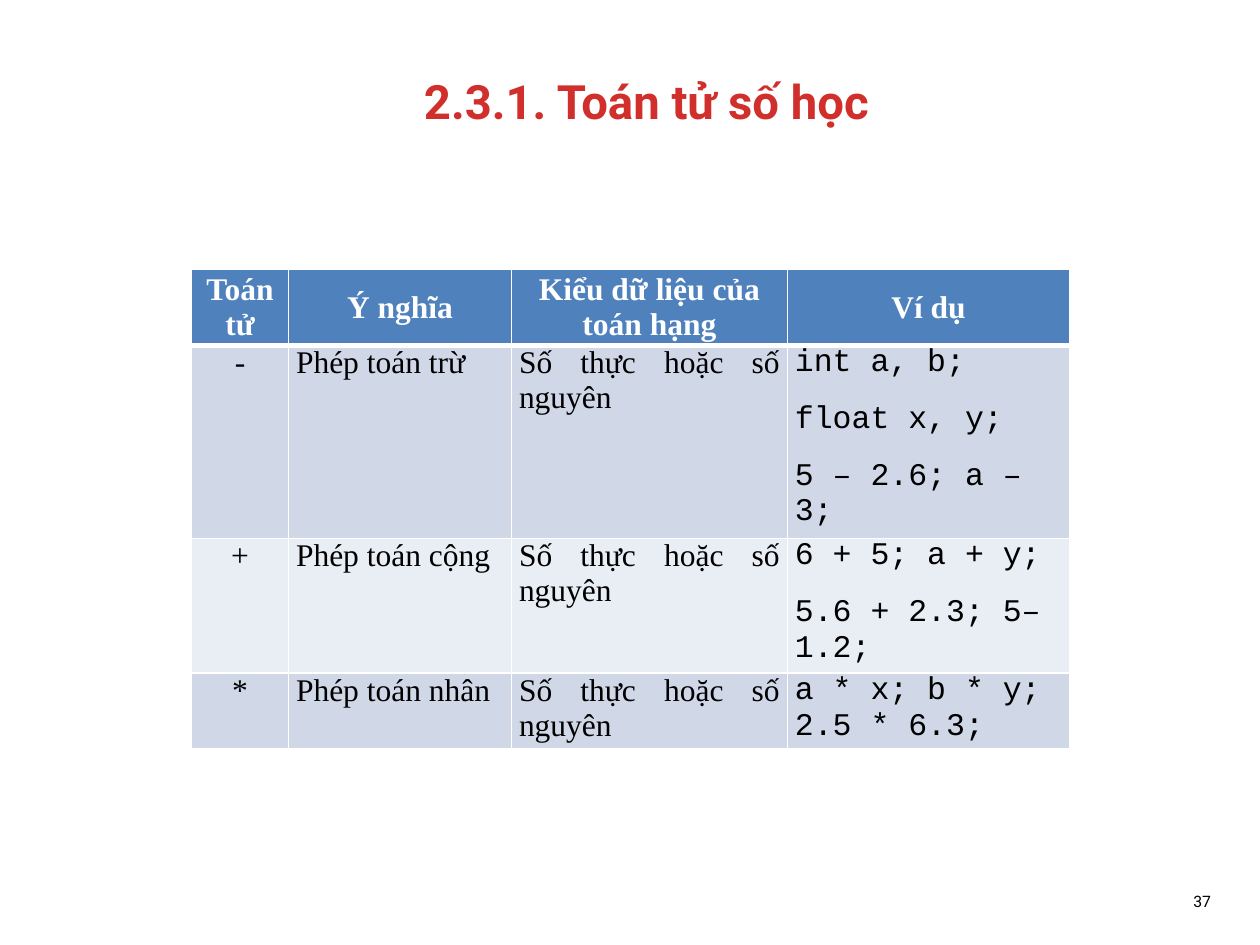
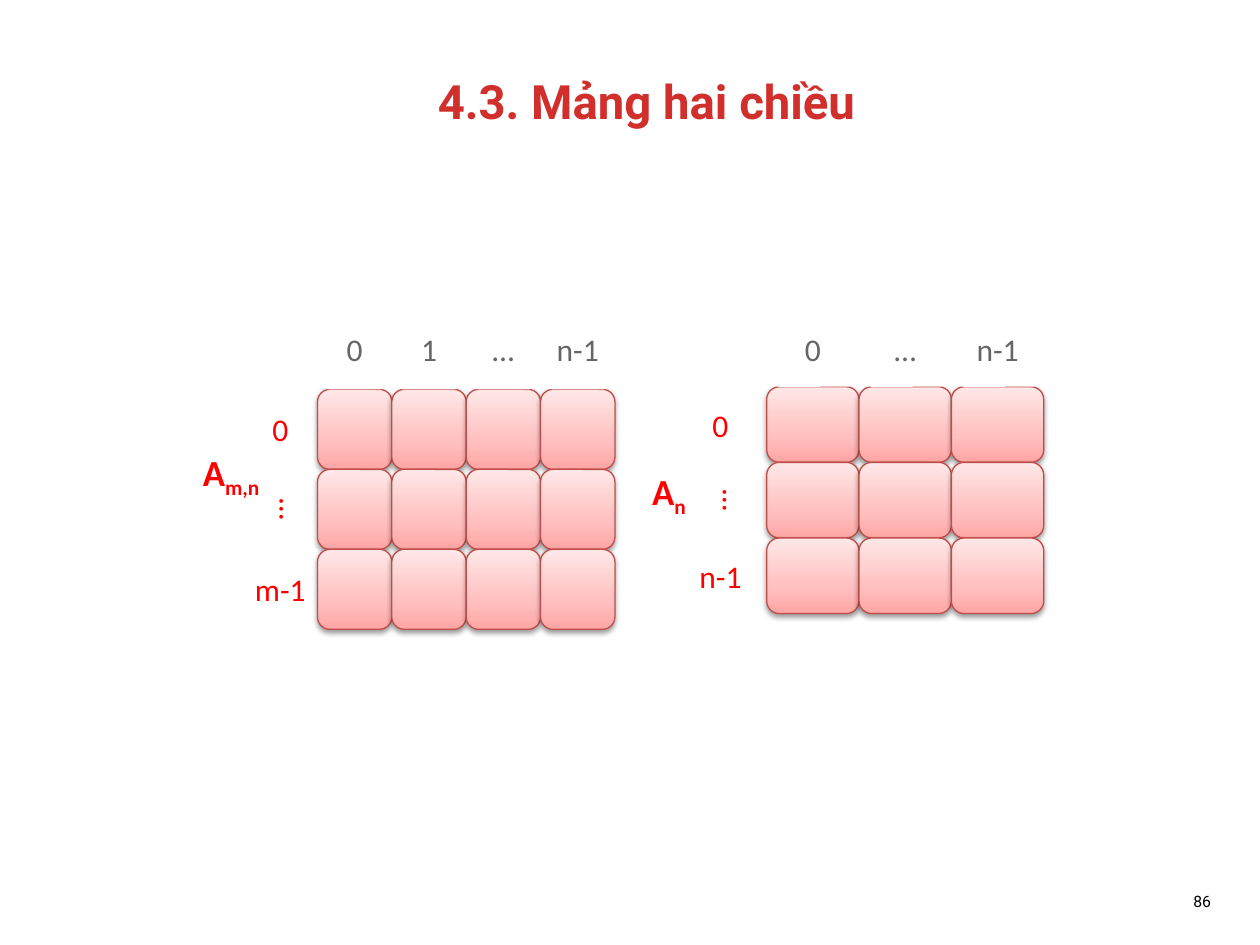
from lxml.etree import SubElement
from pptx import Presentation
from pptx.dml.color import RGBColor
from pptx.enum.shapes import MSO_SHAPE
from pptx.enum.text import MSO_ANCHOR, PP_ALIGN
from pptx.oxml.ns import qn
from pptx.util import Inches, Pt

WHITE = RGBColor(0xFF, 0xFF, 0xFF)
BLACK = RGBColor(0x00, 0x00, 0x00)
RED = RGBColor(0xFF, 0x00, 0x00)
GREY = RGBColor(0x66, 0x66, 0x66)
BRICK = RGBColor(0xBF, 0x4C, 0x48)
BLUE = RGBColor(0x4F, 0x81, 0xBD)
BANDS = (RGBColor(0xD0, 0xD8, 0xE8), RGBColor(0xE9, 0xED, 0xF4))
TITLE_FADE = ((0, RGBColor(0xFC, 0x7C, 0x7A)), (75, RGBColor(0xD0, 0x2F, 0x2C)),
              (100, RGBColor(0xC7, 0x05, 0x00)))
CELL_FADE = ((0, RGBColor(0xFF, 0xA6, 0xA5)), (35, RGBColor(0xFF, 0xC0, 0xBF)),
             (100, RGBColor(0xFF, 0xE7, 0xE7)))

COLS, ROWS = 100, 75
CENTER = {"alignment": PP_ALIGN.CENTER}
TITLE = {"name": "Roboto", "size": Pt(27), "bold": True}
NUMBER = {"name": "Roboto", "size": Pt(9)}
LABEL = {"name": "Calibri", "size": Pt(18)}
NAME = {"name": "Calibri", "size": Pt(21), "bold": True}
SERIF = {"name": "Times New Roman", "size": Pt(18), "bold": False}
HEAD = SERIF | {"bold": True}
CODE = SERIF | {"name": "Courier New"}


def put(item, form):
    for key, value in form.items():
        setattr(item, key, value)


def fade(fill, props, stops, angle):
    """Give a fill several gradient stops; angle runs counter-clockwise."""
    fill.gradient()
    fill.gradient_angle = angle
    group = props.find(qn("a:gradFill")).find(qn("a:gsLst"))
    for old in list(group):
        group.remove(old)
    for share, color in stops:
        stop = SubElement(group, qn("a:gs"), pos=str(share * 1000))
        SubElement(stop, qn("a:srgbClr"), val=str(color))


def write(frame, lines, font, ink, para):
    """Fill a frame; in a line given as a tuple, the second run is a subscript."""
    for i, line in enumerate(lines):
        p = frame.paragraphs[0] if i == 0 else frame.add_paragraph()
        put(p, para if i else para | {"space_before": Pt(0)})
        for j, text in enumerate((line,) if isinstance(line, str) else line):
            run = p.add_run()
            run.text = text
            put(run.font, font)
            run.font.color.rgb = ink
            if j:
                run.font._element.set("baseline", "-25000")


def edge(cell, side, width):
    line = SubElement(cell._tc.get_or_add_tcPr(), qn("a:ln" + side), w=str(Pt(width)))
    SubElement(SubElement(line, qn("a:solidFill")), qn("a:srgbClr"), val=str(WHITE))


class Deck:
    def __init__(self):
        self.show = Presentation()
        self.show.slide_width, self.show.slide_height = Inches(10), Inches(7.5)
        self.col = self.show.slide_width / COLS
        self.row = self.show.slide_height / ROWS

    def span(self, x, y, w, h):
        return [round(n * unit) for n, unit in
                zip((x, y, w, h), (self.col, self.row) * 2)]

    def page(self, title, number):
        self.slide = self.show.slides.add_slide(self.show.slide_layouts[5])
        self.home = self.slide.shapes
        head = self.home.title
        put(head, dict(zip(("left", "top", "width", "height"),
                           self.span(4.2, 1.7, 94.2, 12.5))))
        head.text_frame.vertical_anchor = MSO_ANCHOR.MIDDLE
        write(head.text_frame, [title], TITLE, RED, CENTER)
        font = head.text_frame.paragraphs[0].runs[0].font
        fade(font.fill, font._element, TITLE_FADE, 270)
        foot = self.home.add_textbox(*self.span(91.3, 69.5, 5.8, 4)).text_frame
        put(foot, {"word_wrap": True, "vertical_anchor": MSO_ANCHOR.MIDDLE})
        write(foot, [number], NUMBER, BLACK, {"alignment": PP_ALIGN.RIGHT})

    def block(self, x, y, w, h):
        box = self.home.add_shape(MSO_SHAPE.ROUNDED_RECTANGLE, *self.span(x, y, w, h))
        box.shadow.inherit = False
        return box

    def label(self, text, x, y, w, h, ink, font=LABEL, turn=0):
        box = self.block(x, y, w, h)
        box.rotation = turn
        box.fill.solid()
        box.fill.fore_color.rgb = WHITE
        box.line.fill.background()
        put(box.text_frame, {"word_wrap": False, "vertical_anchor": MSO_ANCHOR.MIDDLE})
        write(box.text_frame, [text], font, ink, CENTER)

    def tile(self, x, y, w, h):
        box = self.block(x, y, w, h)
        props = box._element.spPr
        fade(box.fill, props, CELL_FADE, 90)
        box.line.color.rgb = BRICK
        box.line.width = Pt(0.75)
        shade = SubElement(props.find(qn("a:effectLst")), qn("a:outerShdw"),
                           blurRad=str(Pt(3.1)), dist=str(Pt(1.6)),
                           dir="5400000", rotWithShape="0")
        color = SubElement(shade, qn("a:srgbClr"), val=str(BLACK))
        SubElement(color, qn("a:alpha"), val="38000")

    def matrix(self, x, y, w, h, downs, heads):
        """Draw a grid of tiles from (x, y), with row and column labels around it."""
        self.home = self.slide.shapes.add_group_shape().shapes
        for i, text in enumerate(downs):
            top = y + i * h
            if text == "…":
                shift = (w - h) / 2
                self.label(text, x - 0.84 * w + shift, top - shift, h, w, RED, turn=90)
            else:
                self.label(text, x - w, top, w, h, RED)
        for i in range(len(downs)):
            for j in range(len(heads)):
                self.tile(x + j * w, y + i * h, w, h)
        for j, text in enumerate(heads):
            self.label(text, x + j * w, y - h, w, h, GREY)
        self.home = self.slide.shapes

    def table(self, x, y, widths, heights, data):
        grid = self.home.add_table(len(heights), len(widths), *self.span(
            x, y, sum(widths), sum(heights))).table
        for col, width in zip(grid.columns, widths):
            col.width = round(width * self.col)
        for row, height in zip(grid.rows, heights):
            row.height = round(height * self.row)
        aligns = (PP_ALIGN.CENTER, PP_ALIGN.JUSTIFY, PP_ALIGN.JUSTIFY, PP_ALIGN.LEFT)
        for i, line in enumerate(data):
            for j, text in enumerate(line):
                cell = grid.cell(i, j)
                put(cell, {"margin_left": Inches(0.06), "margin_right": Inches(0.06),
                           "margin_top": 0, "margin_bottom": 0})
                for side in "LRTB":
                    edge(cell, side, 3 if (i, side) in ((0, "B"), (1, "T")) else 1)
                cell.fill.solid()
                cell.fill.fore_color.rgb = BANDS[(i - 1) % 2] if i else BLUE
                if i == 0:
                    cell.vertical_anchor = MSO_ANCHOR.MIDDLE
                    font, ink, align = HEAD, WHITE, PP_ALIGN.CENTER
                else:
                    font, ink, align = CODE if j == 3 else SERIF, BLACK, aligns[j]
                write(cell.text_frame, text.split("\n"), font, ink,
                      {"alignment": align, "space_before": Pt(6), "space_after": Pt(6)})


def main():
    deck = Deck()
    deck.page("2.3.1. Toán tử số học", "37")
    kind = "Số thực hoặc số nguyên"
    deck.table(15.2, 21.4, (7.7, 17.7, 21.9, 22.4), (6, 14.5, 10.2, 6), (
        ("Toán tử", "Ý nghĩa", "Kiểu dữ liệu của toán hạng", "Ví dụ"),
        ("-", "Phép toán trừ", kind, "int a, b;\nfloat x, y;\n5 – 2.6; a – 3;"),
        ("+", "Phép toán cộng", kind, "6 + 5; a + y;\n5.6 + 2.3; 5– 1.2;"),
        ("*", "Phép toán nhân", kind, "a * x; b * y; 2.5 * 6.3;")))

    deck.page("4.3. Mảng hai chiều", "86")
    deck.matrix(25.2, 30.9, 5.9, 6.35, ("0", "…", "m-1"), ("0", "1", "…", "n-1"))
    deck.label(("A", "m,n"), 15.7, 35.1, 5.3, 5.1, RED, NAME)
    deck.label(("A", "n"), 51.2, 37.3, 3.8, 3.8, RED, NAME)
    deck.matrix(60.85, 30.7, 7.33, 6, ("0", "…", "n-1"), ("0", "…", "n-1"))
    deck.show.save("out.pptx")


if __name__ == "__main__":
    main()
